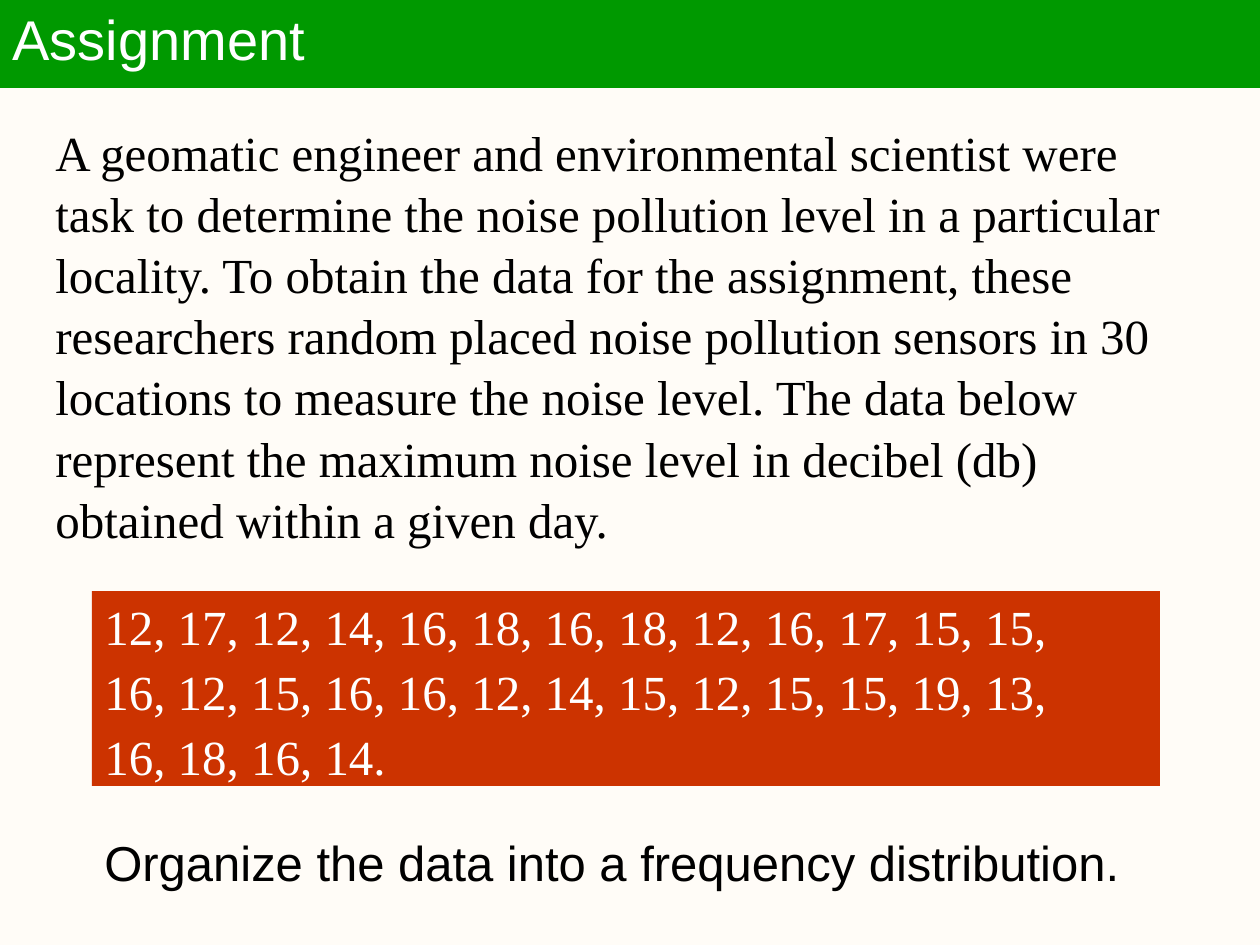
from pptx import Presentation
from pptx import util as u
from pptx.dml import color
from pptx.enum import shapes, text

PX = 914400 / 126
COLORS = {
    "paper": "FFFCF7",
    "green": "009900",
    "red": "CC3300",
    "white": "FFFFFF",
    "black": "000000",
}
QUESTION = (
    "A geomatic engineer and environmental scientist were task to determine "
    "the noise pollution level in a particular locality. To obtain the data "
    "for the assignment, these researchers random placed noise pollution "
    "sensors in 30 locations to measure the noise level. The data below "
    "represent the maximum noise level in decibel (db) obtained within a "
    "given day."
)
READINGS = [
    "12, 17, 12, 14, 16, 18, 16, 18, 12, 16, 17, 15, 15,",
    "16, 12, 15, 16, 16, 12, 14, 15, 12, 15, 15, 19, 13,",
    "16, 18, 16, 14.",
]


class Deck:
    def __init__(self, width, height):
        self.prs = Presentation()
        self.prs.slide_width = self.px(width)
        self.prs.slide_height = self.px(height)
        self.s = self.prs.slides.add_slide(self.prs.slide_layouts[5])
        self.paint(self.s.background.fill, "paper")

    def px(self, n):
        return u.Emu(round(n * PX))

    def rgb(self, name):
        return color.RGBColor.from_string(COLORS[name])

    def paint(self, fill, name):
        fill.solid()
        fill.fore_color.rgb = self.rgb(name)

    def set_text(self, sp, lines, font, size, ink, spacing, top=6):
        tf = sp.text_frame
        tf.word_wrap = True
        tf.auto_size = text.MSO_AUTO_SIZE.NONE
        tf.vertical_anchor = text.MSO_ANCHOR.TOP
        tf.margin_top = self.px(top)
        tf.text = "\n".join(lines)
        for i, p in enumerate(tf.paragraphs):
            p.alignment = text.PP_ALIGN.LEFT
            p.line_spacing = spacing
            p.space_before = u.Pt(size * 0.2 if i else 0)
            for r in p.runs:
                r.font.name = font
                r.font.size = u.Pt(size)
                r.font.color.rgb = self.rgb(ink)

    def title(self, box, words):
        sp = self.s.shapes.title
        sp.left, sp.top, sp.width, sp.height = map(self.px, box)
        self.paint(sp.fill, "green")
        sp.line.color.rgb = self.rgb("green")
        sp.line.width = u.Pt(0.75)
        self.set_text(sp, [words], "Arial", 32, "white", 0.9)
        sp.text_frame.vertical_anchor = text.MSO_ANCHOR.MIDDLE

    def panel(self, box, lines):
        sp = self.s.shapes.add_shape(shapes.MSO_SHAPE.RECTANGLE, *map(self.px, box))
        sp.shadow.inherit = False
        self.paint(sp.fill, "red")
        sp.line.fill.background()
        self.set_text(sp, lines, "Times New Roman", 28, "white", 0.94, top=10)

    def note(self, box, words, font, spacing):
        sp = self.s.shapes.add_textbox(*map(self.px, box))
        self.set_text(sp, [words], font, 28, "black", spacing, top=8)


def main():
    deck = Deck(1260, 945)
    deck.title((0, -2, 1260, 89), "Assignment")
    deck.note((43, 112, 1154, 428), QUESTION, "Times New Roman", 1.04)
    deck.panel((92, 591, 1068, 195), READINGS)
    deck.note((92, 829, 1043, 66), "Organize the data into a frequency distribution.",
              "Arial", 0.94)
    deck.prs.save("out.pptx")


if __name__ == "__main__":
    main()
